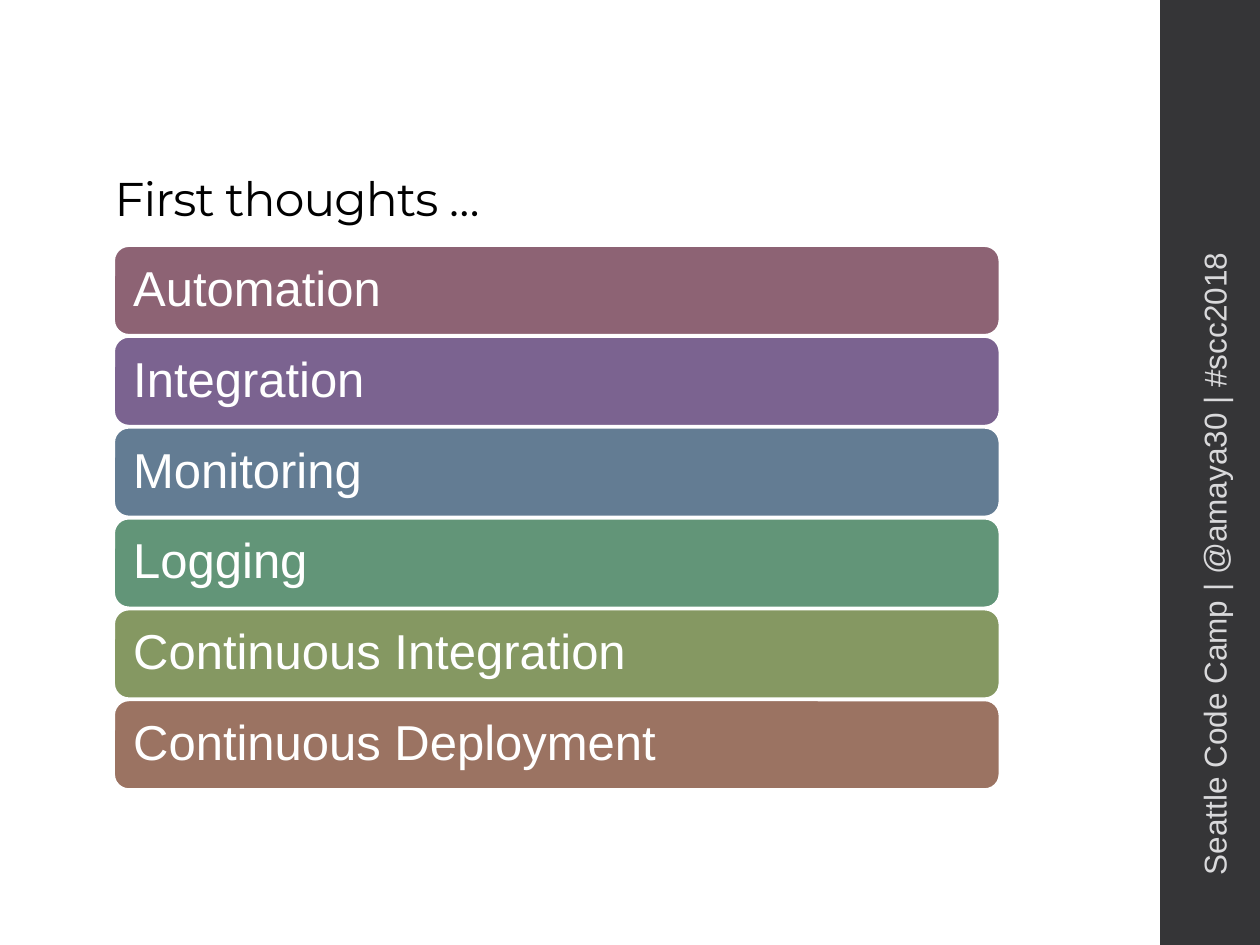
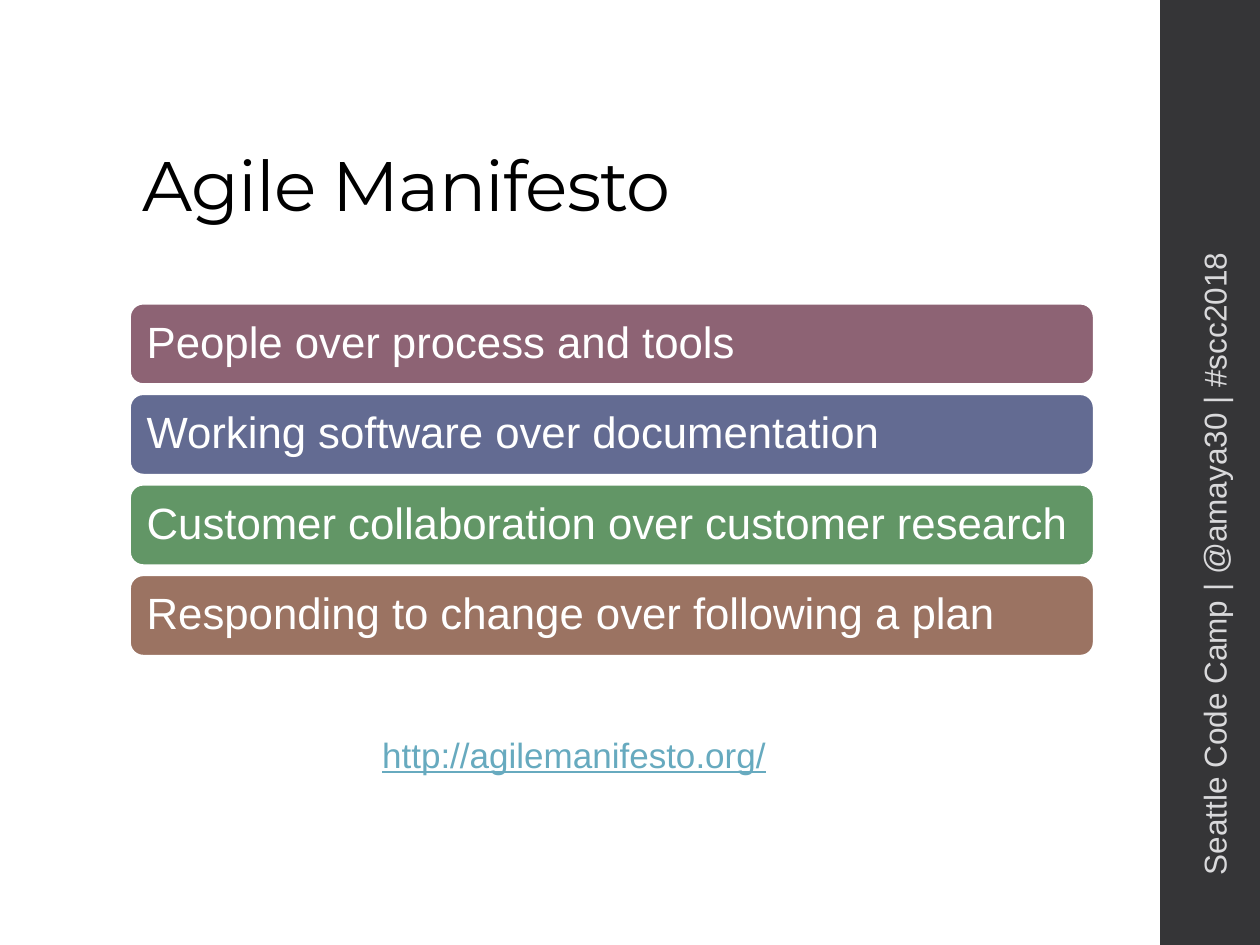
from dataclasses import dataclass

from pptx import Presentation
from pptx.dml.color import RGBColor
from pptx.enum.shapes import MSO_SHAPE
from pptx.enum.text import MSO_ANCHOR, MSO_AUTO_SIZE, PP_ALIGN
from pptx.util import Cm, Pt


@dataclass(frozen=True)
class Theme:
    heading_font: str = "Montserrat"
    body_font: str = "Arial"
    black: str = "000000"
    white: str = "FFFFFF"
    band: str = "353537"
    footer: str = "D9D9DB"
    link: str = "67AABF"
    mauve: str = "8D6374"
    violet: str = "7B6390"
    indigo: str = "636B92"
    steel: str = "637C93"
    teal: str = "629578"
    green: str = "629666"
    olive: str = "859862"
    brown: str = "9B7362"
    small_title_size: float = 27
    title_size: float = 40
    large_bar_size: float = 28
    bar_size: float = 25
    link_size: float = 20
    footer_size: float = 18


THEME = Theme()
TITLE_ONLY_LAYOUT = 5
FOOTER = "Seattle Code Camp | @amaya30 | #scc2018"


def write(shape, text, *, size, color, font=THEME.body_font, align=PP_ALIGN.LEFT,
          anchor=MSO_ANCHOR.MIDDLE, line_spacing=None, tracking=None,
          underline=None, side_inset=0.25, grow=False):
    """Put one formatted paragraph in a shape; side_inset is in centimetres."""
    frame = shape.text_frame
    frame.word_wrap = True
    frame.auto_size = MSO_AUTO_SIZE.SHAPE_TO_FIT_TEXT if grow else MSO_AUTO_SIZE.NONE
    frame.vertical_anchor = anchor
    frame.margin_left = frame.margin_right = Cm(side_inset)
    paragraph = frame.paragraphs[0]
    paragraph.alignment = align
    paragraph.line_spacing = line_spacing
    run = paragraph.add_run()
    run.text = text
    run.font.name = font
    run.font.size = Pt(size)
    run.font.color.rgb = RGBColor.from_string(color)
    run.font.underline = underline
    if tracking is not None:
        run.font._element.set("spc", str(round(tracking * 100)))


def add_filled(slide, preset, box, fill, outline=None):
    shape = slide.shapes.add_shape(preset, *map(Cm, box))
    shape.shadow.inherit = False
    shape.fill.solid()
    shape.fill.fore_color.rgb = RGBColor.from_string(fill)
    if outline:
        shape.line.color.rgb = RGBColor.from_string(outline)
        shape.line.width = Pt(1.1)
    else:
        shape.line.fill.background()
    return shape


def add_side_band(slide, box):
    """Draw the dark band with the event line reading upwards inside it."""
    left, top, width, height = box
    add_filled(slide, MSO_SHAPE.RECTANGLE, box, THEME.band)
    length, thickness = 14.76, 0.76
    center_x, center_y = left + 0.54 * width, top + 0.552 * height
    event_line = slide.shapes.add_textbox(
        Cm(center_x - length / 2), Cm(center_y - thickness / 2),
        Cm(length), Cm(thickness))
    event_line.rotation = 270
    write(event_line, FOOTER, size=THEME.footer_size, color=THEME.footer)


def place_title(slide, box, text, size, anchor):
    title = slide.shapes.title
    title.left, title.top, title.width, title.height = map(Cm, box)
    write(title, text, size=size, color=THEME.black, font=THEME.heading_font,
          anchor=anchor, line_spacing=0.9, tracking=-0.5)


def add_bars(slide, box, bars, gap, size, side_inset):
    """Stack equal rounded bars so that they fill the box."""
    left, top, width, height = box
    bar_height = (height - gap * (len(bars) - 1)) / len(bars)
    for index, (text, fill) in enumerate(bars):
        bar_box = (left, top + index * (bar_height + gap), width, bar_height)
        bar = add_filled(slide, MSO_SHAPE.ROUNDED_RECTANGLE, bar_box, fill, THEME.white)
        write(bar, text, size=size, color=THEME.white, line_spacing=0.9,
              side_inset=side_inset)


def add_link(slide, box, address):
    link = slide.shapes.add_textbox(*map(Cm, box))
    write(link, address, size=THEME.link_size, color=THEME.link,
          align=PP_ALIGN.CENTER, anchor=MSO_ANCHOR.TOP, underline=True, grow=True)


def new_slide(deck):
    slide = deck.slides.add_slide(deck.slide_layouts[TITLE_ONLY_LAYOUT])
    add_side_band(slide, (23.39, 0, 2.01, 19.05))
    return slide


def add_first_thoughts(deck):
    slide = new_slide(deck)
    place_title(slide, (2.06, 3.15, 10.16, 1.8), "First thoughts …",
                THEME.small_title_size, MSO_ANCHOR.MIDDLE)
    practices = [
        ("Automation", THEME.mauve),
        ("Integration", THEME.violet),
        ("Monitoring", THEME.steel),
        ("Logging", THEME.teal),
        ("Continuous Integration", THEME.olive),
        ("Continuous Deployment", THEME.brown),
    ]
    add_bars(slide, (2.3, 4.96, 17.85, 10.95), practices, gap=0.04,
             size=THEME.large_bar_size, side_inset=0.3)


def add_agile_manifesto(deck):
    slide = new_slide(deck)
    place_title(slide, (2.62, 1.02, 20.19, 3.68), "Agile Manifesto",
                THEME.title_size, MSO_ANCHOR.BOTTOM)
    values = [
        ("People over process and tools", THEME.mauve),
        ("Working software over documentation", THEME.indigo),
        ("Customer collaboration over customer research", THEME.green),
        ("Responding to change over following a plan", THEME.brown),
    ]
    add_bars(slide, (2.62, 6.12, 19.43, 7.1), values, gap=0.2,
             size=THEME.bar_size, side_inset=0.26)
    add_link(slide, (2.62, 14.66, 17.91, 1.12), "http://agilemanifesto.org/")


def main():
    deck = Presentation()
    deck.slide_width, deck.slide_height = Cm(25.4), Cm(19.05)
    add_first_thoughts(deck)
    add_agile_manifesto(deck)
    deck.save("out.pptx")


if __name__ == "__main__":
    main()
